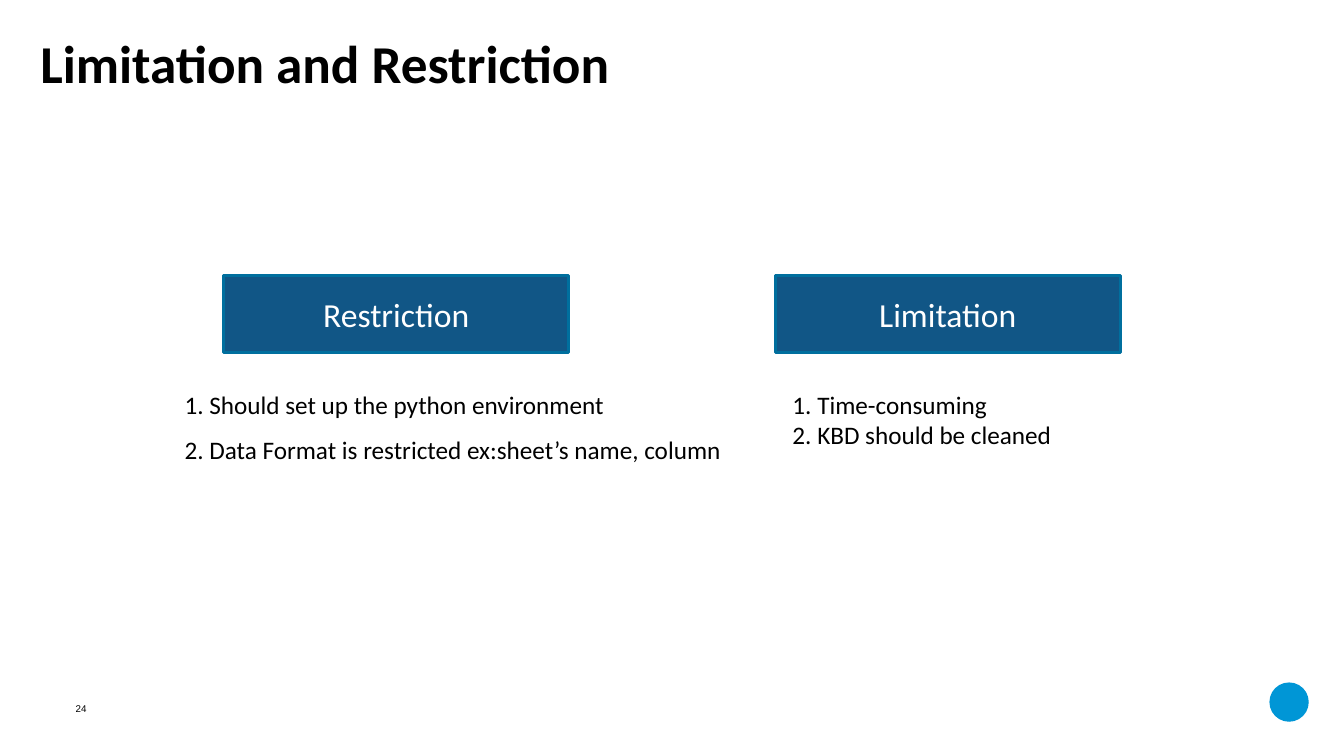
from lxml import etree
from pptx import Presentation
from pptx import util as u
from pptx.dml.color import RGBColor
from pptx.enum import shapes, text
from pptx.oxml.ns import qn

TITLE = "Limitation and Restriction"
PAGE_NUMBER = "24"
# heading, heading left, list left, list width, points between items, items
COLUMNS = [
    ("Restriction", 2.22, 1.73, 5.9, 11,
     ["1. Should set up the python environment",
      "2. Data Format is restricted ex:sheet’s name, column"]),
    ("Limitation", 7.69, 7.76, 4.49, 0,
     ["1. Time-consuming", "2. KBD should be cleaned"]),
]
HEADING_TOP, HEADING_WIDTH, HEADING_HEIGHT = 2.73, 3.42, 0.77
LIST_TOP, LIST_HEIGHT = 3.81, 0.86
BLACK, WHITE, NAVY, BLUE, BADGE = "000000", "FFFFFF", "115686", "006F9E", "0096D6"


def color(value):
    return RGBColor.from_string(value)


def place(box, left, top, width, height):
    box.left, box.top = u.Inches(left), u.Inches(top)
    box.width, box.height = u.Inches(width), u.Inches(height)


def set_margins(frame, side, end):
    frame.margin_left = frame.margin_right = u.Inches(side)
    frame.margin_top = frame.margin_bottom = u.Inches(end)


def style(para, size, value, font="Calibri", bold=False, align=text.PP_ALIGN.LEFT):
    para.alignment = align
    for span in para.runs:
        span.font.name, span.font.size, span.font.bold = font, u.Pt(size), bold
        span.font.color.rgb = color(value)


def add_plain_shape(page, kind, bounds, fill):
    shape = page.shapes.add_shape(kind, *map(u.Inches, bounds))
    shape.shadow.inherit = False
    shape.fill.solid()
    shape.fill.fore_color.rgb = color(fill)
    return shape


def fill_title(title):
    place(title, 0.27, 0.23, 9.17, 0.77)
    frame = title.text_frame
    frame.text = TITLE
    frame.auto_size = text.MSO_AUTO_SIZE.NONE
    frame.vertical_anchor = text.MSO_ANCHOR.TOP
    set_margins(frame, 0.13, 0.07)
    style(frame.paragraphs[0], 38, BLACK, bold=True)


def add_heading(page, label, left):
    bounds = (left, HEADING_TOP, HEADING_WIDTH, HEADING_HEIGHT)
    box = add_plain_shape(page, shapes.MSO_SHAPE.RECTANGLE, bounds, NAVY)
    box.line.color.rgb = color(BLUE)
    box.line.width = u.Pt(2)
    box.text_frame.text = label
    box.text_frame.vertical_anchor = text.MSO_ANCHOR.MIDDLE
    style(box.text_frame.paragraphs[0], 24, WHITE, align=text.PP_ALIGN.CENTER)


def fill_list(body, left, width, gap, items):
    place(body, left, LIST_TOP, width, LIST_HEIGHT)
    frame = body.text_frame
    frame.text = "\n".join(items)
    frame.auto_size = text.MSO_AUTO_SIZE.NONE
    for index, para in enumerate(frame.paragraphs):
        properties = para._p.get_or_add_pPr()
        properties.set("marL", "0")
        properties.set("indent", "0")
        etree.SubElement(properties, qn("a:buNone"))
        para.space_before = u.Pt(gap if index else 0)
        style(para, 18, BLACK)


def add_page_number(page):
    box = page.shapes.add_textbox(*map(u.Inches, (0.75, 6.85, 0.19, 0.24)))
    frame = box.text_frame
    frame.text = PAGE_NUMBER
    frame.word_wrap = False
    frame.vertical_anchor = text.MSO_ANCHOR.BOTTOM
    set_margins(frame, 0, 0)
    style(frame.paragraphs[0], 7, BLACK, font="Arial")


def main():
    deck = Presentation()
    deck.slide_width, deck.slide_height = u.Inches(13.33), u.Inches(7.5)
    page = deck.slides.add_slide(deck.slide_layouts.get_by_name("Two Content"))

    badge = add_plain_shape(page, shapes.MSO_SHAPE.OVAL, (12.59, 6.77, 0.39, 0.39), BADGE)
    badge.line.fill.background()
    add_page_number(page)
    fill_title(page.shapes.title)

    bodies = list(page.placeholders)[1:]
    for body, (label, heading_left, left, width, gap, items) in zip(bodies, COLUMNS):
        add_heading(page, label, heading_left)
        fill_list(body, left, width, gap, items)

    deck.save("out.pptx")


if __name__ == "__main__":
    main()
